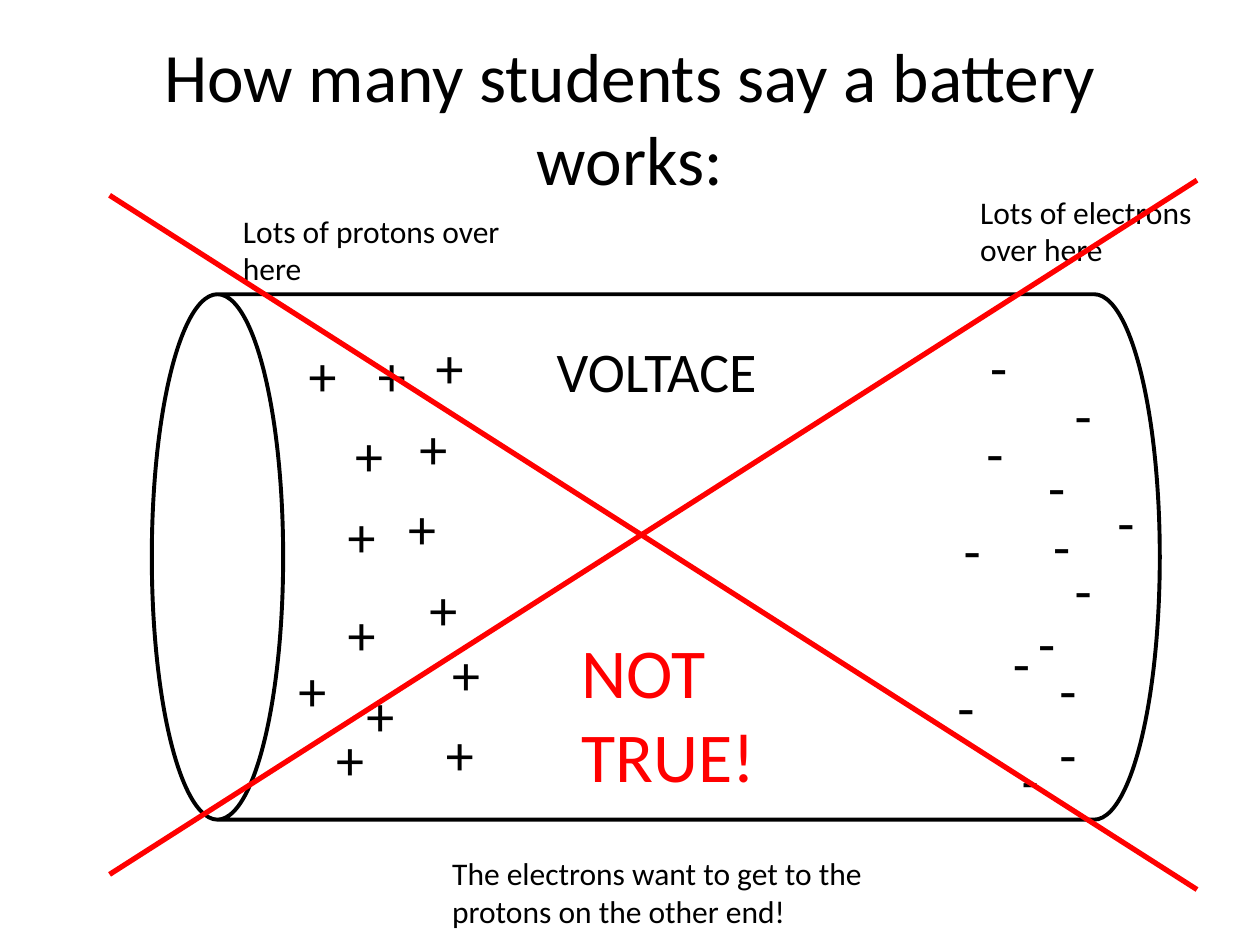
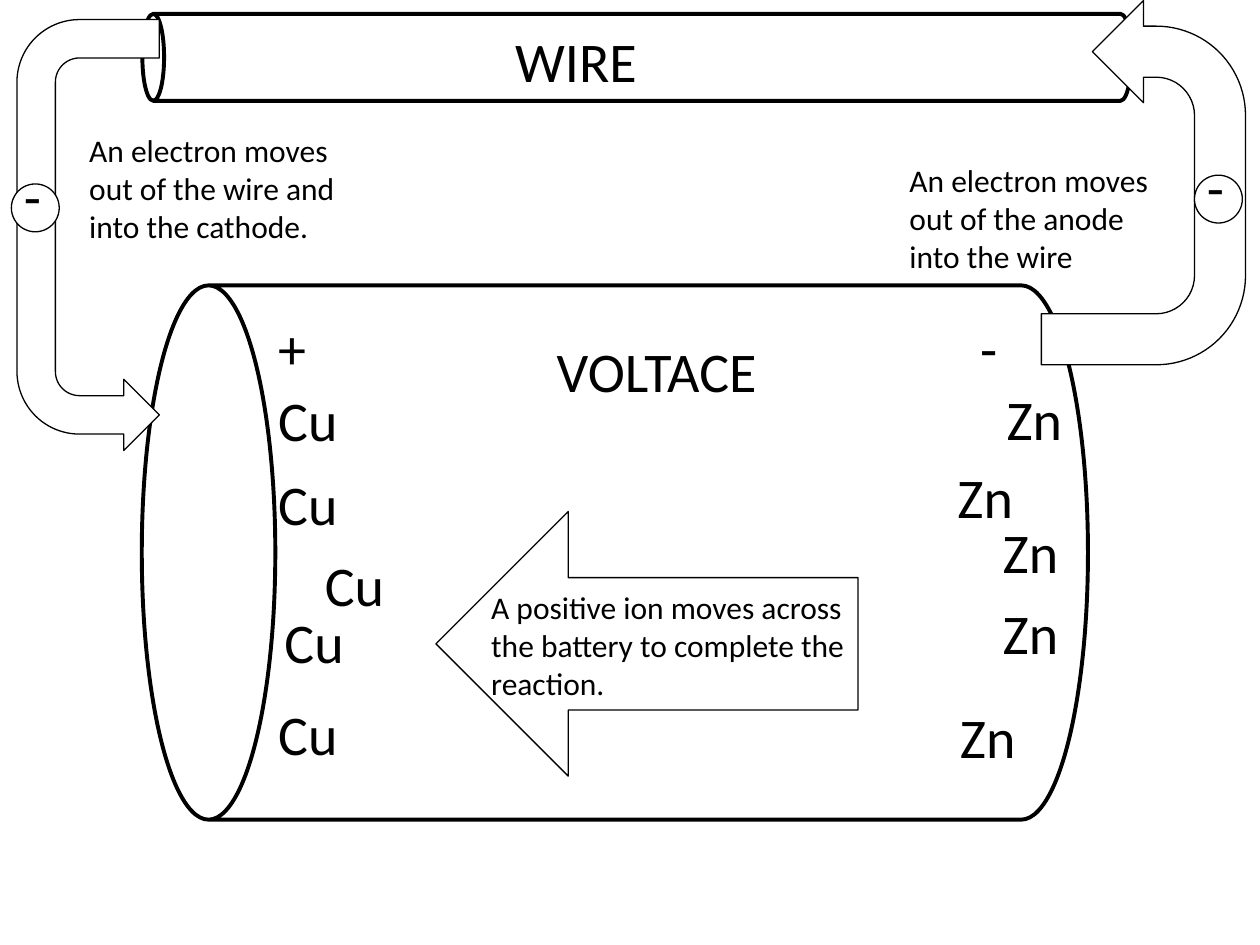
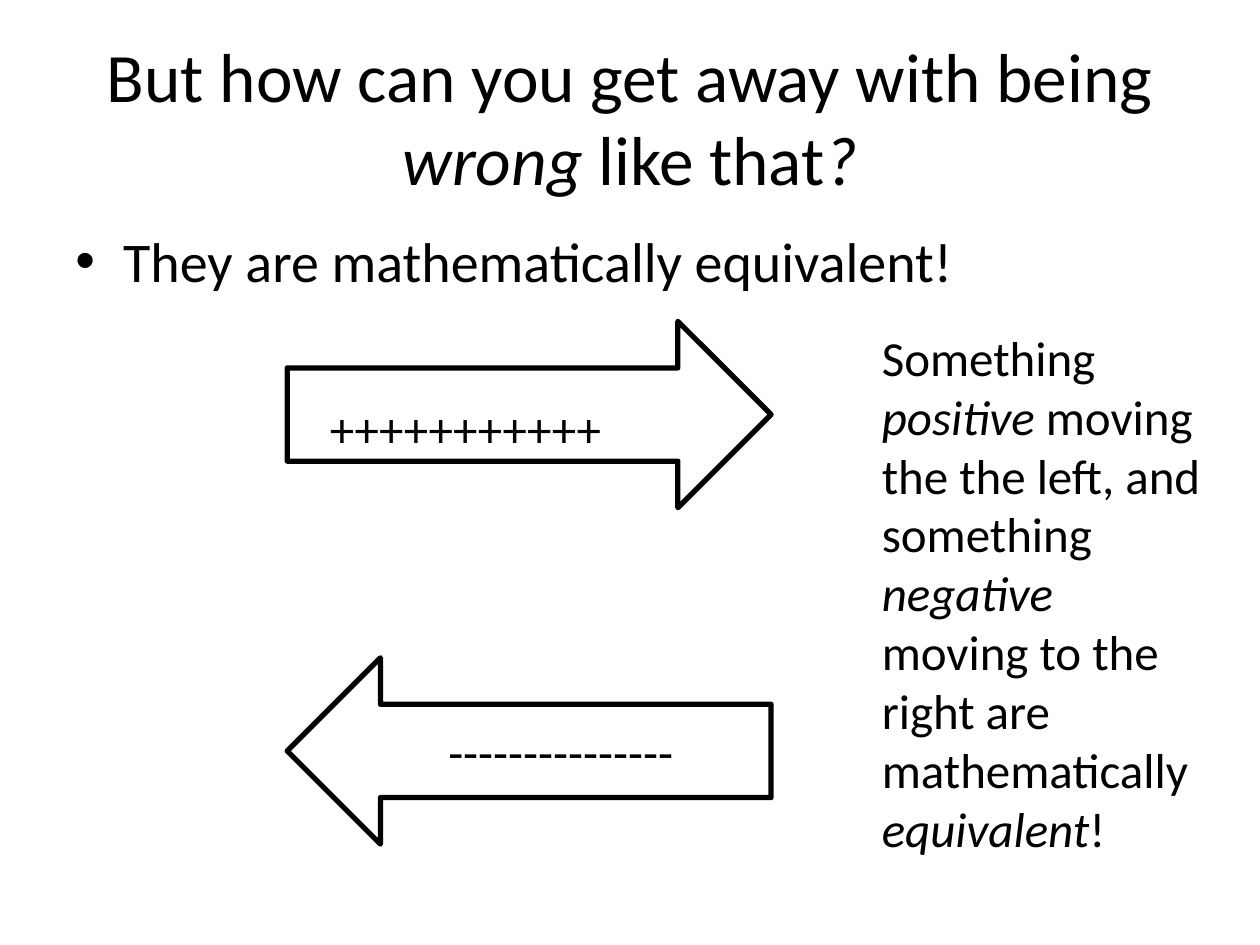
from pptx import Presentation
from pptx.dml.color import RGBColor
from pptx.enum.shapes import MSO_CONNECTOR, MSO_SHAPE
from pptx.enum.text import MSO_ANCHOR, MSO_AUTO_SIZE, PP_ALIGN
from pptx.oxml.ns import qn
from pptx.util import Inches, Pt
from lxml.etree import SubElement

BLACK = RGBColor(0x00, 0x00, 0x00)
WHITE = RGBColor(0xFF, 0xFF, 0xFF)
RED = RGBColor(0xFF, 0x00, 0x00)
FONT = "Calibri"
TITLE_SIZE, SYMBOL_SIZE, LARGE_SIZE, NOTE_SIZE = 39.6, 32, 28, 18
BRAND = "VOLTACE"
SYMBOL_HEIGHT = 0.64

PROTONS = [
    (2.57, 5.7), (2.66, 3.93), (3.49, 5.03), (2.81, 5.35), (3.14, 3.87),
    (2.66, 4.71), (2.72, 3.29), (3.31, 4.51), (2.35, 2.65), (3.23, 3.23),
    (2.9, 2.65), (3.44, 5.66), (2.27, 5.15), (3.36, 2.59),
]
ELECTRONS = [
    (7.55, 4.04), (8.01, 5.87), (7.76, 2.59), (8.22, 3.54), (8.43, 4.36),
    (7.73, 3.27), (8.14, 4.78), (8.31, 5.66), (7.5, 5.29), (8.31, 5.15),
    (7.94, 4.94), (8.77, 3.82), (8.43, 2.97), (8.26, 4.01),
]
ZINC = [(7.86, 4.7), (7.86, 4.06), (7.5, 3.62), (7.52, 5.53), (7.89, 3)]
COPPER = [(2.11, 3.68), (2.16, 4.77), (2.11, 5.5), (2.11, 3.01), (2.48, 4.32)]


def add_text(page, spans, left, top, width, height, size=NOTE_SIZE, color=BLACK):
    """Add a wrapping text box; spans is a string or (text, italic) pairs."""
    box = page.shapes.add_textbox(
        Inches(left), Inches(top), Inches(width), Inches(height))
    frame = box.text_frame
    frame.word_wrap = True
    frame.auto_size = MSO_AUTO_SIZE.SHAPE_TO_FIT_TEXT
    if isinstance(spans, str):
        spans = [(spans, False)]
    for text, italic in spans:
        span = frame.paragraphs[0].add_run()
        span.text = text
        span.font.name = FONT
        span.font.size = Pt(size)
        span.font.italic = italic
        span.font.color.rgb = color
    return box


def add_title(page, spans):
    frame = add_text(page, spans, 0.5, 0.3, 9, 1.25, TITLE_SIZE).text_frame
    frame.auto_size = MSO_AUTO_SIZE.NONE
    frame.vertical_anchor = MSO_ANCHOR.MIDDLE
    frame.paragraphs[0].alignment = PP_ALIGN.CENTER


def add_bullet(page, text):
    frame = add_text(page, text, 0.5, 1.75, 9, 4.95, SYMBOL_SIZE).text_frame
    frame.auto_size = MSO_AUTO_SIZE.NONE
    settings = frame.paragraphs[0]._p.get_or_add_pPr()
    settings.set("marL", str(Inches(0.38)))
    settings.set("indent", str(Inches(-0.38)))
    SubElement(settings, qn("a:buFont")).set("typeface", "Arial")
    SubElement(settings, qn("a:buChar")).set("char", "•")


def add_symbols(page, text, width, spots):
    for left, top in spots:
        add_text(page, text, left, top, width, SYMBOL_HEIGHT, SYMBOL_SIZE)


def add_outline(page, kind, left, top, width, height, weight=0.75, fill=WHITE):
    shape = page.shapes.add_shape(
        kind, Inches(left), Inches(top), Inches(width), Inches(height))
    shape.shadow.inherit = False
    if fill is None:
        shape.fill.background()
    else:
        shape.fill.solid()
        shape.fill.fore_color.rgb = fill
    shape.line.color.rgb = BLACK
    shape.line.width = Pt(weight)
    return shape


def add_cylinder(page, left, top, width, height):
    """Add a can lying on its side, with its lid to the left."""
    can = add_outline(page, MSO_SHAPE.CAN, left, top, width, height, 2.25, None)
    can.rotation = 270


def add_uturn(page, left, top, width, height, flip, adjustments=()):
    arrow = add_outline(page, MSO_SHAPE.U_TURN_ARROW, left, top, width, height)
    arrow.rotation = 270
    arrow._element.spPr.find(qn("a:xfrm")).set(flip, "1")
    for index, value in enumerate(adjustments):
        arrow.adjustments[index] = value


def add_electron(page, left, top):
    add_outline(page, MSO_SHAPE.OVAL, left, top, 0.38, 0.38)
    add_symbols(page, "-", 0.42, [(left, top - 0.23)])


def add_strike(page, start, end):
    line = page.shapes.add_connector(
        MSO_CONNECTOR.STRAIGHT, *(Inches(value) for value in start + end))
    line.line.color.rgb = RED
    line.line.width = Pt(3)
    SubElement(line._element.spPr, qn("a:effectLst"))


def build_misconception(page):
    add_title(page, "How many students say a battery works:")
    add_cylinder(page, 3.12, 0.42, 4.17, 8)
    add_symbols(page, BRAND, 2.33, [(4.32, 2.62)])
    add_symbols(page, "+", 0.42, PROTONS)
    add_symbols(page, "-", 0.42, ELECTRONS)
    add_text(page, "Lots of electrons over here", 7.68, 1.48, 2.32, 0.71)
    add_text(page, "Lots of protons over here", 1.83, 1.63, 2.32, 0.71)
    add_text(page, "The electrons want to get to the protons on the other end!",
             3.49, 6.73, 4.19, 0.71)
    add_strike(page, (0.87, 1.55), (9.5, 7.06))
    add_strike(page, (9.5, 1.43), (0.87, 6.94))
    add_text(page, "NOT TRUE!", 4.52, 4.94, 2.13, 1.45, 40, RED)


def build_circuit(page):
    add_cylinder(page, 2.76, 0.63, 4.24, 7.51)
    add_symbols(page, "+", 0.42, [(2.11, 2.44)])
    add_symbols(page, "-", 0.42, [(7.68, 2.44)])
    add_symbols(page, BRAND, 2.33, [(4.32, 2.62)])
    add_symbols(page, "Zn", 0.74, ZINC)
    add_symbols(page, "Cu", 0.74, COPPER)
    add_cylinder(page, 4.71, -3.47, 0.69, 7.85)
    add_symbols(page, "WIRE", 1.49, [(3.99, 0.16)])
    add_outline(page, MSO_SHAPE.LEFT_ARROW, 3.46, 4.06, 3.35, 2.1)
    add_text(page, "A positive ion moves across the battery to complete the reaction.",
             3.8, 4.62, 3.01, 1.01)
    add_uturn(page, 7.63, 0.64, 2.89, 1.62, "flipV")
    add_text(page, "An electron moves out of the wire and into the cathode.",
             0.61, 0.99, 2.24, 1.01)
    add_text(page, "An electron moves out of the anode into the wire",
             7.12, 1.23, 2.24, 1.01)
    add_uturn(page, -1.01, 1.3, 3.42, 1.13, "flipH", (0.27, 0.25, 0.25, 0.44, 1))
    add_electron(page, 0.09, 1.46)
    add_electron(page, 9.48, 1.39)


def build_equivalence(page):
    add_title(page, [("But how can you get away with being ", False), ("wrong", True),
                     (" like that", False), ("?", True)])
    add_bullet(page, "They are mathematically equivalent!")
    for kind, top in ((MSO_SHAPE.RIGHT_ARROW, 2.55), (MSO_SHAPE.LEFT_ARROW, 5.22)):
        add_outline(page, kind, 2.28, top, 3.84, 1.48, 3)
    add_text(page, "+" * 11, 2.52, 3.11, 2.83, 0.57, LARGE_SIZE)
    add_text(page, "-" * 15, 3.46, 5.68, 2.83, 0.57, LARGE_SIZE)
    add_text(page, [("Something ", False), ("positive", True),
                    (" moving the the left, and something ", False),
                    ("negative", True),
                    (" moving to the right are mathematically ", False),
                    ("equivalent", True), ("!", False)],
             6.9, 2.55, 2.75, 4.34, LARGE_SIZE)


def main():
    deck = Presentation()
    deck.slide_width, deck.slide_height = Inches(10), Inches(7.5)
    for build in (build_misconception, build_circuit, build_equivalence):
        build(deck.slides.add_slide(deck.slide_layouts[6]))
    deck.save("out.pptx")


if __name__ == "__main__":
    main()
